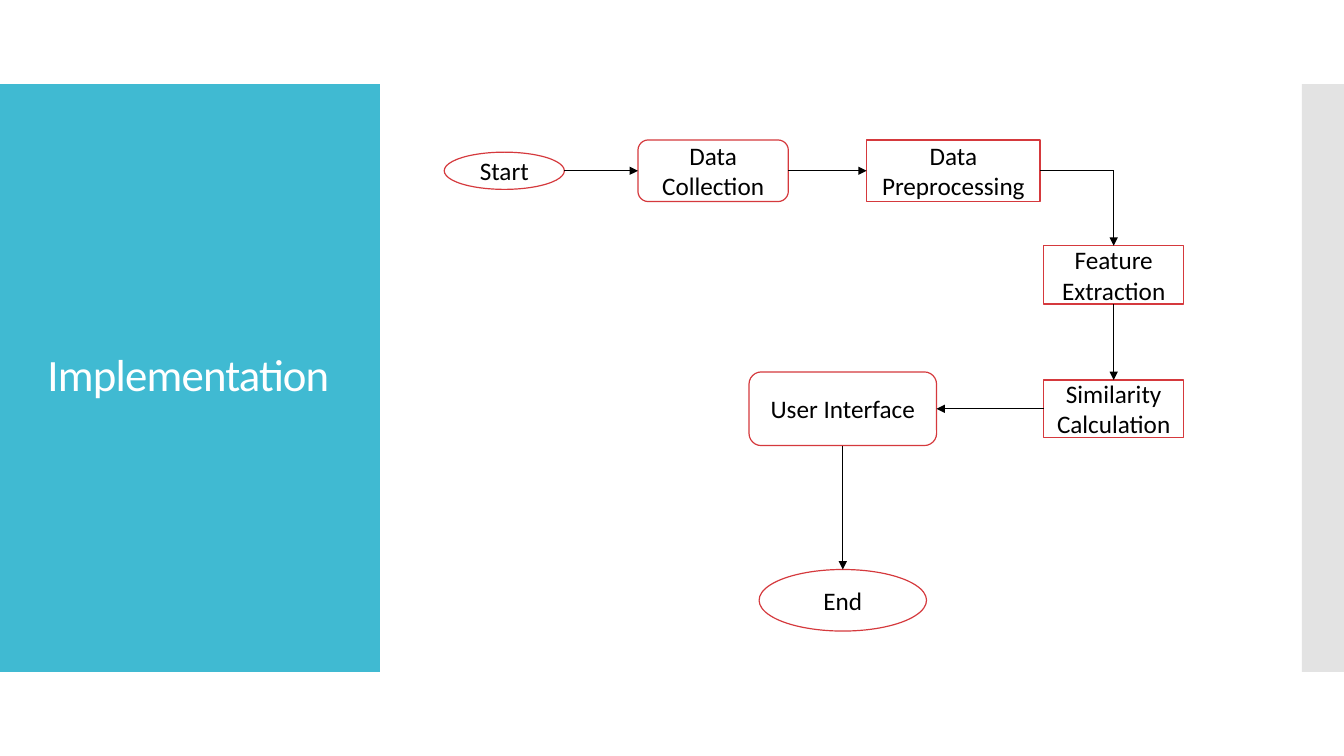
from lxml.etree import SubElement
from pptx import Presentation
from pptx.dml.color import RGBColor
from pptx.enum.shapes import MSO_CONNECTOR, MSO_SHAPE
from pptx.enum.text import MSO_ANCHOR, MSO_AUTO_SIZE, PP_ALIGN
from pptx.oxml.ns import qn
from pptx.util import Pt

COLORS = {"panel": "40BAD2", "strip": "C8C8C8", "box": "FFFFFF",
          "outline": "D5393D", "ink": "000000", "title": "FFFFFF"}
TITLE = " Implementation"
TITLE_BOX = (20, 88.5, 232, 362)
# name: left, top, width, height
PANELS = {"panel": (0, 60, 271.4, 420), "strip": (930, 60, 30, 420)}

OVAL, ROUND, RECT = MSO_SHAPE.OVAL, MSO_SHAPE.ROUNDED_RECTANGLE, MSO_SHAPE.RECTANGLE
TOP_ROW, LOW_ROW = 122, 292
UI_COL, RIGHT_COL = 602, 795.5
# text: shape, centre x, centre y, width, height
STEPS = {
    "Start": (OVAL, 360.2, TOP_ROW, 85.8, 26.6),
    "Data Collection": (ROUND, 509.4, TOP_ROW, 107.4, 44),
    "Data Preprocessing": (RECT, 681, TOP_ROW, 123.8, 44),
    "Feature Extraction": (RECT, RIGHT_COL, 196.4, 100, 41.6),
    "Similarity Calculation": (RECT, RIGHT_COL, LOW_ROW, 100, 41),
    "User Interface": (ROUND, UI_COL, LOW_ROW, 134, 52.6),
    "End": (OVAL, UI_COL, 428.8, 119.6, 44),
}
CORNER = (RIGHT_COL, TOP_ROW)
TOP, LEFT, BOTTOM, RIGHT = range(4)
# from step and side, to step and side; None is the corner of the path
ARROWS = [
    ("Start", RIGHT, "Data Collection", LEFT),
    ("Data Collection", RIGHT, "Data Preprocessing", LEFT),
    ("Data Preprocessing", RIGHT, None, None),
    (None, None, "Feature Extraction", TOP),
    ("Feature Extraction", BOTTOM, "Similarity Calculation", TOP),
    ("Similarity Calculation", LEFT, "User Interface", RIGHT),
    ("User Interface", BOTTOM, "End", TOP),
]


def rgb(name):
    return RGBColor.from_string(COLORS[name])


def set_font(font, size, color):
    for key, value in {"name": "Calibri", "size": Pt(size)}.items():
        setattr(font, key, value)
    font.color.rgb = rgb(color)


def add_box(s, kind, box, fill):
    sp = s.shapes.add_shape(kind, *map(Pt, box))
    sp.shadow.inherit = False
    sp.fill.solid()
    sp.fill.fore_color.rgb = rgb(fill)
    sp.line.fill.background()
    return sp


def add_panels(s):
    for name, box in PANELS.items():
        sp = add_box(s, RECT, box, name)
        if name == "strip":
            color = sp.fill._xPr.find(qn("a:solidFill"))[0]
            SubElement(color, qn("a:alpha"), val="50000")


def add_title(s):
    title = s.shapes.title
    s.shapes._spTree.append(title._element)  # in front of the panels
    for key, value in zip(("left", "top", "width", "height"), TITLE_BOX):
        setattr(title, key, Pt(value))
    tf = title.text_frame
    for key, value in {"text": TITLE, "word_wrap": True, "auto_size": MSO_AUTO_SIZE.NONE,
                       "vertical_anchor": MSO_ANCHOR.MIDDLE}.items():
        setattr(tf, key, value)
    p = tf.paragraphs[0]
    p.alignment, p.line_spacing = PP_ALIGN.LEFT, 0.9
    r = p.runs[0]
    set_font(r.font, 32, "title")
    r.font._element.set("spc", "-60")


def add_step(s, text, kind, cx, cy, w, h):
    sp = add_box(s, kind, (cx - w / 2, cy - h / 2, w, h), "box")
    sp.line.color.rgb = rgb("outline")
    sp.line.width = Pt(0.85)
    tf = sp.text_frame
    tf.word_wrap, tf.vertical_anchor = True, MSO_ANCHOR.MIDDLE
    p = tf.paragraphs[0]
    p.alignment = PP_ALIGN.CENTER
    r = p.add_run()
    r.text = text
    set_font(r.font, 18, "ink")
    return sp


def side_point(step, side):
    if step is None:
        return CORNER
    _, cx, cy, w, h = STEPS[step]
    dx, dy = {TOP: (0, -1), LEFT: (-1, 0), BOTTOM: (0, 1), RIGHT: (1, 0)}[side]
    return cx + dx * w / 2, cy + dy * h / 2


def add_arrow(s, boxes, start, start_side, end, end_side):
    points = side_point(start, start_side) + side_point(end, end_side)
    line = s.shapes.add_connector(MSO_CONNECTOR.STRAIGHT, *map(Pt, points))
    for step, side, join in ((start, start_side, line.begin_connect),
                             (end, end_side, line.end_connect)):
        # an oval numbers its sides differently, apart from the top
        if step and (STEPS[step][0] != OVAL or side == TOP):
            join(boxes[step], side)
    line.line.color.rgb = rgb("ink")
    line.line.width = Pt(0.75)
    if end:
        SubElement(line.line._get_or_add_ln(), qn("a:tailEnd"), type="triangle")
    SubElement(line._element.spPr, qn("a:effectLst"))


def main():
    prs = Presentation()
    prs.slide_width, prs.slide_height = Pt(960), Pt(540)
    s = prs.slides.add_slide(prs.slide_layouts[5])
    add_panels(s)
    add_title(s)
    boxes = {text: add_step(s, text, *step) for text, step in STEPS.items()}
    for arrow in ARROWS:
        add_arrow(s, boxes, *arrow)
    prs.save("out.pptx")


if __name__ == "__main__":
    main()
